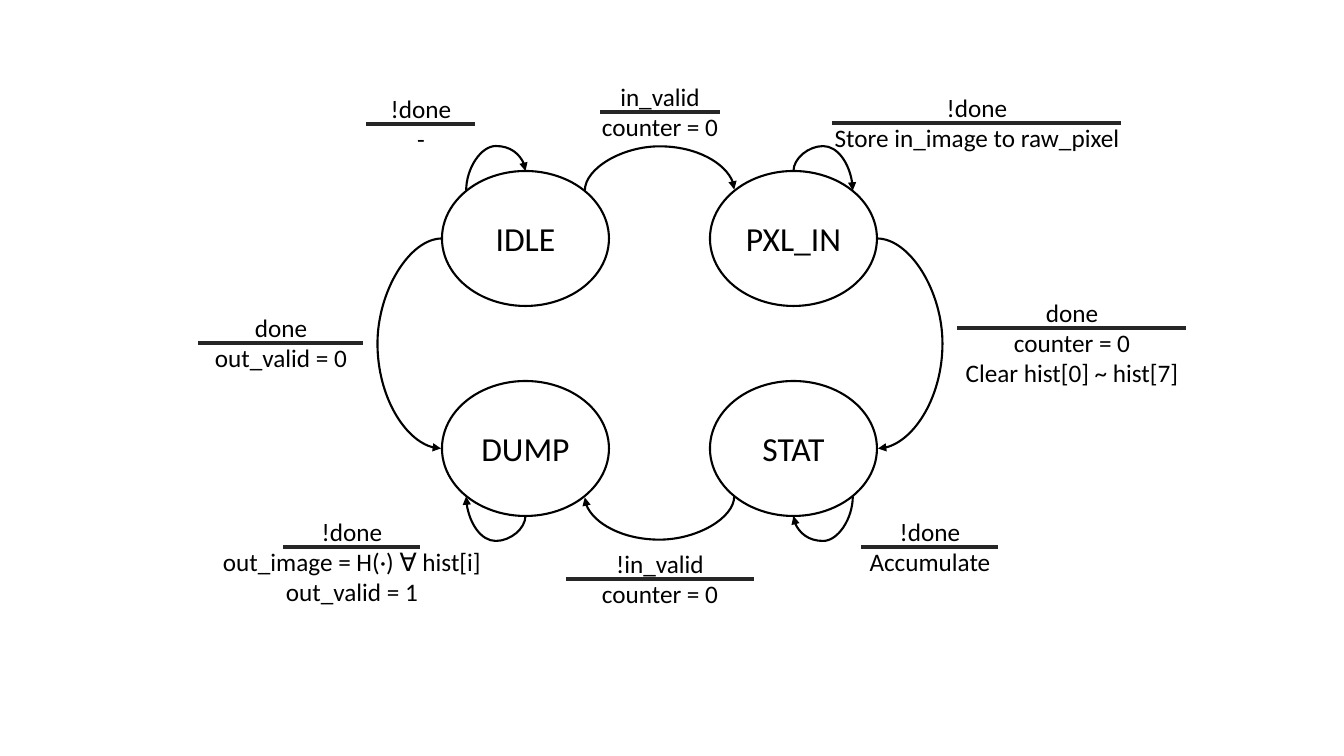
from lxml.etree import SubElement
from pptx import Presentation
from pptx.dml.color import RGBColor
from pptx.enum.shapes import MSO_CONNECTOR, MSO_SHAPE
from pptx.enum.text import MSO_ANCHOR, MSO_AUTO_SIZE, PP_ALIGN
from pptx.oxml.ns import qn
from pptx.util import Pt

BLACK = RGBColor(0, 0, 0)
GRAY = RGBColor(0x26, 0x26, 0x26)

# state: left, top
STATES = {
    "IDLE": (442, 171),
    "PXL_IN": (710, 171),
    "STAT": (710, 381),
    "DUMP": (442, 381),
}
STATE_W, STATE_H = 167, 135

# from state, its side, to state, its side, direction of bulge, reach of bulge
MOVES = [
    ("IDLE", "ne", "PXL_IN", "nw", "n", 146),
    ("PXL_IN", "n", "PXL_IN", "ne", "n", 146),
    ("PXL_IN", "e", "STAT", "e", "e", 943),
    ("STAT", "ne"[::-1].replace("n", "s")[::-1], "STAT", "s", "s", 541),
    ("STAT", "sw", "DUMP", "se", "s", 540),
    ("DUMP", "s", "DUMP", "sw", "s", 541),
    ("IDLE", "w", "DUMP", "w", "w", 377),
    ("IDLE", "nw", "IDLE", "n", "n", 146),
]

# centre, top, box width, rule width, lines
NOTES = [
    (660, 76, 138, 120, ["in_valid", "counter = 0"]),
    (977, 87, 308, 289, ["!done", "Store in_image to raw_pixel"]),
    (1072, 292, 236, 229, ["done", "counter = 0", "Clear hist[0] ~ hist[7]"]),
    (930, 511, 142, 137, ["!done", "Accumulate"]),
    (660, 543, 138, 188, ["!in_valid", "counter = 0"]),
    (352, 511, 280, 137, ["!done", "out_image = H(·) ∀ hist[i]", "out_valid = 1"]),
    (281, 307, 154, 165, ["done", "out_valid = 0"]),
    (421, 88, 82, 109, ["!done", "-"]),
]
RULE_DROP, LINE_H, PAD = 36, 31, 10

STATE_FRAME = {"vertical_anchor": MSO_ANCHOR.MIDDLE, "word_wrap": True}
NOTE_FRAME = {"word_wrap": False, "auto_size": MSO_AUTO_SIZE.SHAPE_TO_FIT_TEXT}
STEPS = {"n": (0, -1), "s": (0, 1), "e": (1, 0), "w": (-1, 0)}
DIAG = 0.71


def emu(*vals):
    return [round(v * 914400 / 100.8) for v in vals]


def assign(item, vals):
    for name, val in vals.items():
        setattr(item, name, val)


def write(shape, lines, size, frame):
    text = shape.text_frame
    assign(text, frame)
    text.text = "\n".join(lines)
    for para in text.paragraphs:
        para.alignment = PP_ALIGN.CENTER
        assign(para.font, {"name": "Calibri", "size": Pt(size)})
        para.font.color.rgb = BLACK


def stroke(shape, color, width):
    shape.line.color.rgb = color
    shape.line.width = Pt(width)


def link(kind, start, end, color, width):
    line = shapes.add_connector(kind, *emu(*start, *end))
    stroke(line, color, width)
    SubElement(line._element.spPr, qn("a:effectLst"))
    return line


def anchor(state, side):
    """Point on the rim of a state at a compass side."""
    left, top = STATES[state]
    dx = sum(STEPS[c][0] for c in side)
    dy = sum(STEPS[c][1] for c in side)
    part = DIAG if len(side) == 2 else 1
    return (left + STATE_W / 2 * (1 + dx * part),
            top + STATE_H / 2 * (1 + dy * part))


def curve(start, end, bulge, reach):
    """Curved arrow that swings out to reach; up or down needs a quarter turn."""
    axis = 1 if bulge in "ns" else 0
    if abs(start[axis] - end[axis]) < 1:
        # the bend is a share of this gap, so it must not be zero
        end = tuple(e + s for e, s in zip(end, STEPS[bulge]))
    bend = (reach - start[axis]) / (end[axis] - start[axis])
    ends = start, end
    if axis:
        midx, midy = ((a + b) / 2 for a, b in zip(start, end))
        ends = [(midx + y - midy, midy - x + midx) for x, y in ends]
    line = link(MSO_CONNECTOR.CURVE, *ends, BLACK, 1.5)
    props = line._element.spPr
    if axis:
        props.find(qn("a:xfrm")).set("rot", "5400000")
    shape = props.find(qn("a:prstGeom"))
    guides = shape.find(qn("a:avLst"))
    if guides is None:
        guides = SubElement(shape, qn("a:avLst"))
    SubElement(guides, qn("a:gd"), name="adj1", fmla=f"val {round(bend * 100000)}")
    SubElement(props.find(qn("a:ln")), qn("a:tailEnd"), type="triangle")


deck = Presentation()
deck.slide_width, deck.slide_height = emu(1344, 756)
shapes = deck.slides.add_slide(deck.slide_layouts[6]).shapes

for name, spot in STATES.items():
    oval = shapes.add_shape(MSO_SHAPE.OVAL, *emu(*spot, STATE_W, STATE_H))
    oval.shadow.inherit = False
    oval.fill.background()
    stroke(oval, BLACK, 1.5)
    write(oval, [name], 24, STATE_FRAME)

for source, out, target, into, bulge, reach in MOVES:
    curve(anchor(source, out), anchor(target, into), bulge, reach)

for mid, top, wide, rule, lines in NOTES:
    high = PAD + LINE_H * len(lines)
    box = shapes.add_textbox(*emu(mid - wide / 2, top, wide, high))
    write(box, lines, 18, NOTE_FRAME)
    level = top + RULE_DROP
    link(MSO_CONNECTOR.STRAIGHT, (mid - rule / 2, level), (mid + rule / 2, level),
         GRAY, 2.25)

deck.save("out.pptx")
